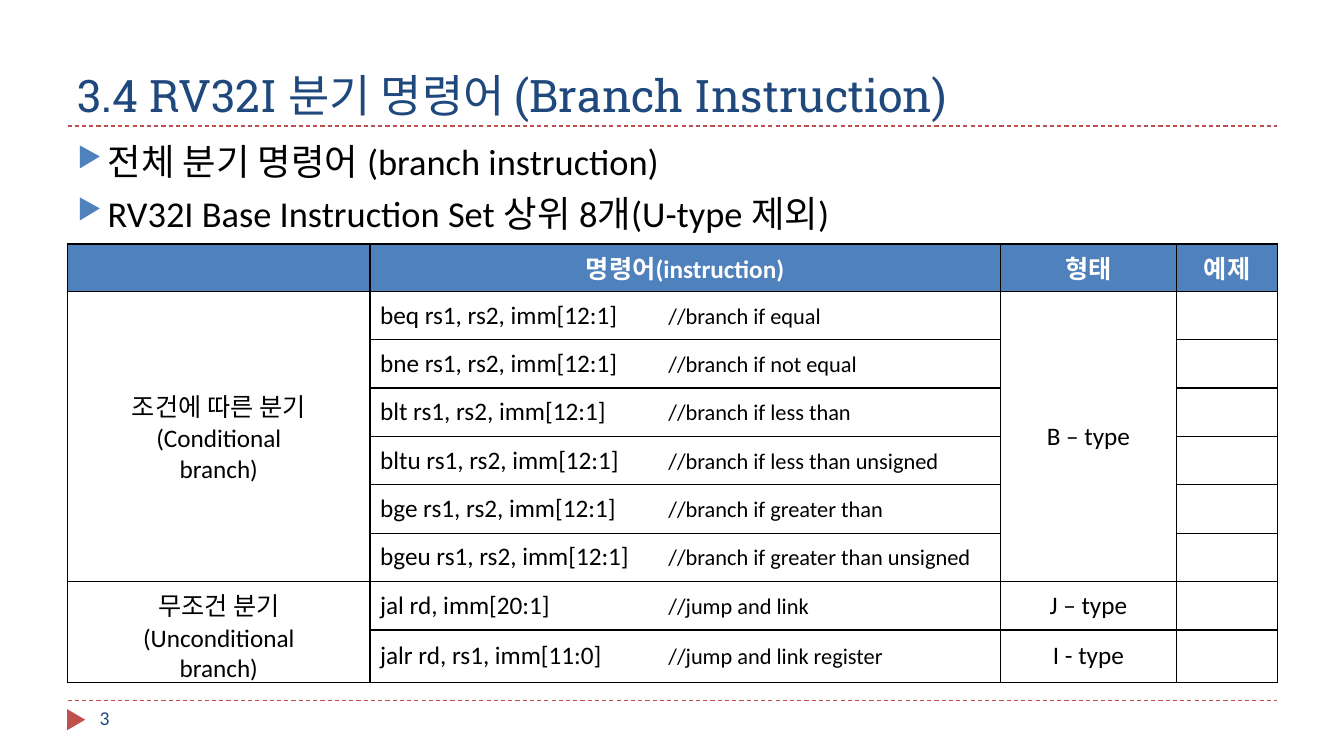
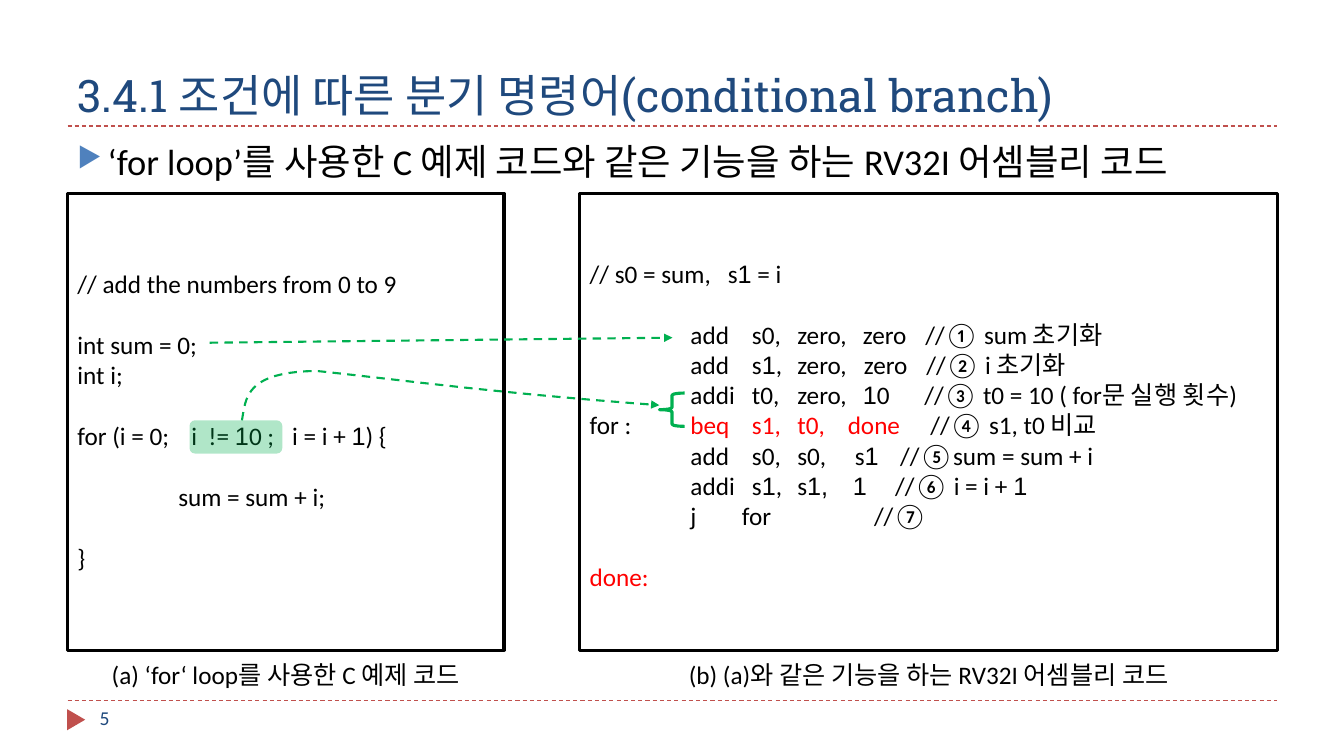
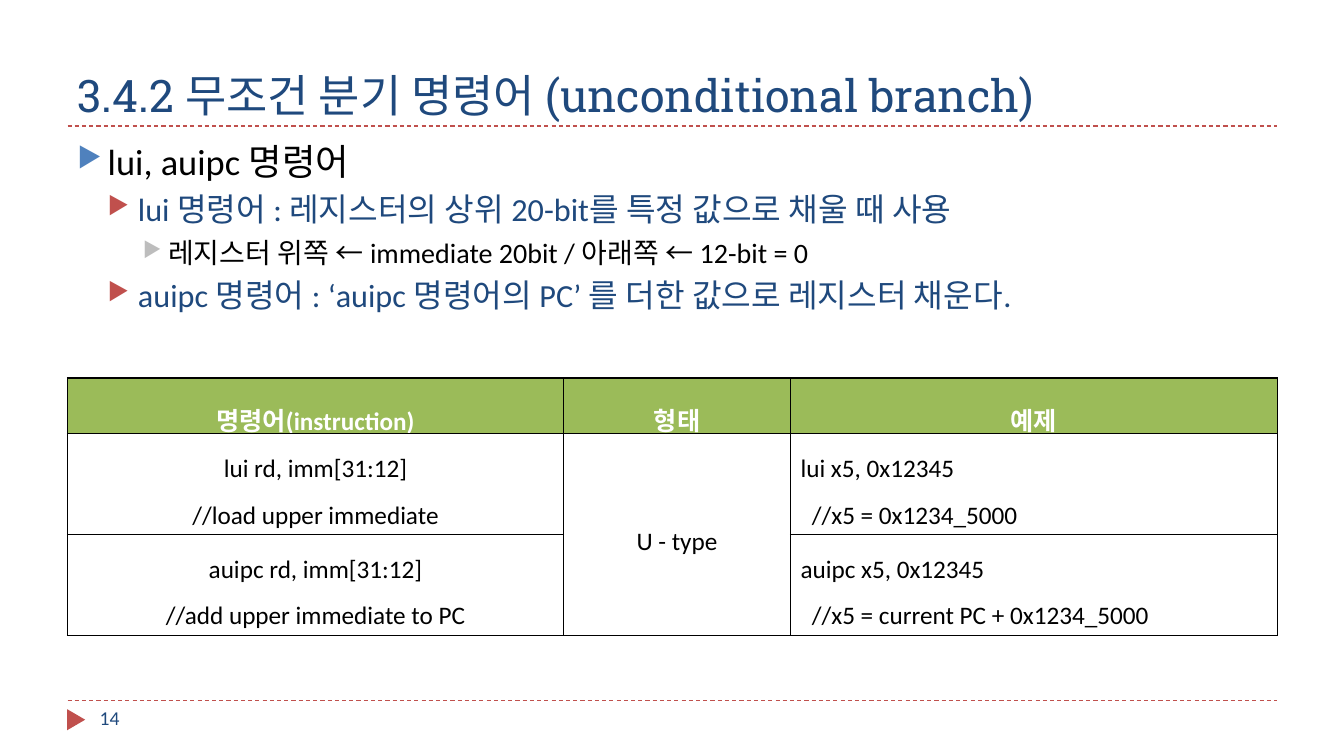
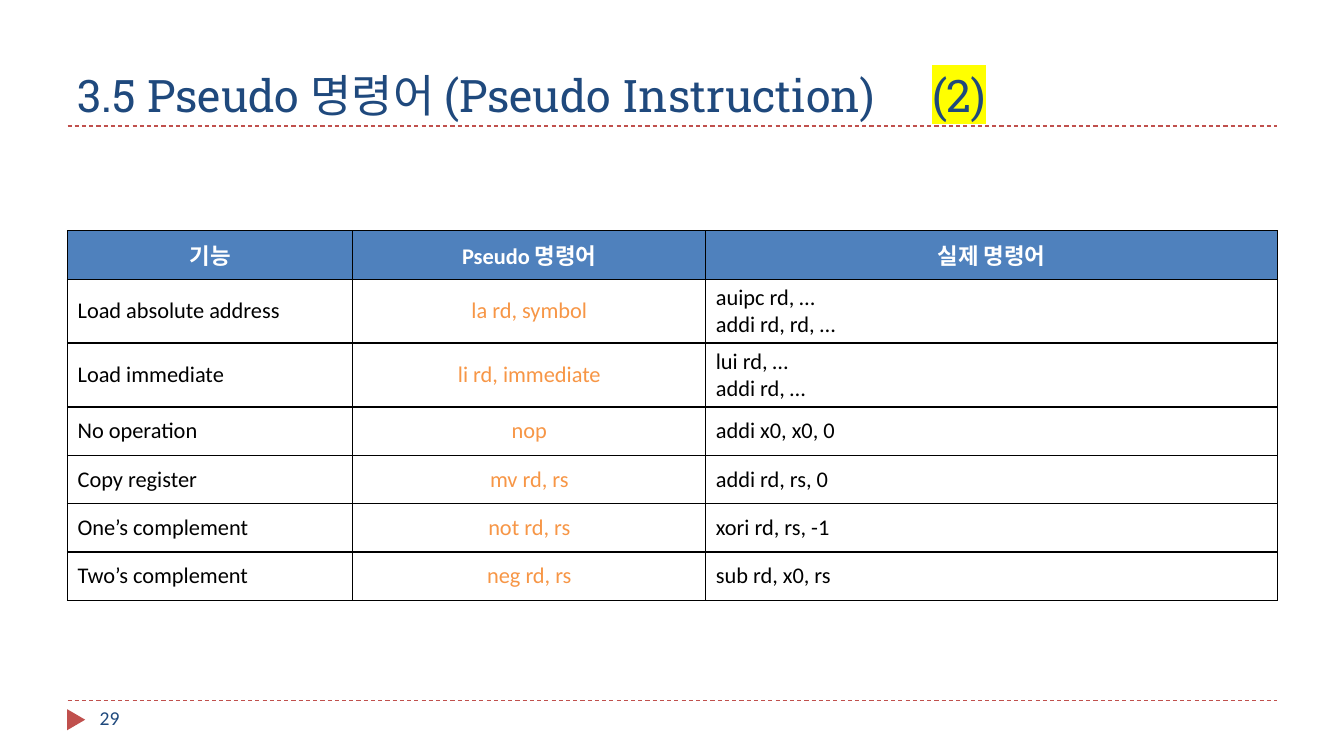
from lxml import etree
from pptx import Presentation
from pptx.dml.color import RGBColor
from pptx.enum.dml import MSO_LINE
from pptx.enum.shapes import MSO_CONNECTOR, MSO_SHAPE
from pptx.enum.text import MSO_ANCHOR, PP_ALIGN
from pptx.oxml.ns import qn
from pptx.util import Inches, Pt

TOP, MIDDLE, BOTTOM = MSO_ANCHOR.TOP, MSO_ANCHOR.MIDDLE, MSO_ANCHOR.BOTTOM
LEFT, CENTER = PP_ALIGN.LEFT, PP_ALIGN.CENTER
RECT, ROUND = MSO_SHAPE.RECTANGLE, MSO_SHAPE.ROUNDED_RECTANGLE
BRACE, WEDGE = MSO_SHAPE.LEFT_BRACE, MSO_SHAPE.ISOSCELES_TRIANGLE
STRAIGHT, DASH = MSO_CONNECTOR.STRAIGHT, MSO_LINE.DASH

BLACK, WHITE, NAVY, BLUE = "000000", "FFFFFF", "1F497D", "4F81BD"
BRICK, GRAY, RED, GREEN = "C0504D", "BDBDBD", "FF0000", "00B050"
OLIVE, ORANGE, YELLOW = "9BBB59", "F79646", "FFFF00"
BODY, SLAB, DIGIT = "Calibri", "Roboto Slab", "Arial"
SIDE, WIDE = 0.67, 12
SKIP = 22
LEVELS = [
    dict(size=26, ink=BLACK, before=6, bullet=(BLUE, 0.3, -0.3)),
    dict(size=23, ink=NAVY, before=5, bullet=(BRICK, 0.6, -0.3)),
    dict(size=20, ink=BLACK, before=5, bullet=(GRAY, 0.9, -0.25)),
]


def hue(code):
    """Turn a hex string into a colour."""
    return RGBColor.from_string(code)


def sub(parent, tag, **attrs):
    """Append an XML child with attributes."""
    return etree.SubElement(parent, qn(tag), attrs)


def style(font, size=18, ink=BLACK, face=BODY, bold=False, mark=None):
    """Format one run."""
    font.size, font.bold = Pt(size), bold
    font.color.rgb = hue(ink)
    if mark:
        sub(sub(font._element, "a:highlight"), "a:srgbClr", val=mark)
    font.name = face


def write(frame, text, align=LEFT, before=0, gap=None, stops=(), bullet=None, **look):
    """Add a paragraph; text between backticks takes the digit font."""
    par = frame.paragraphs[0]
    if par.runs:
        par = frame.add_paragraph()
        par.space_before = Pt(before)
    par.alignment = align
    if gap:
        par.line_spacing = gap
    props = par._p.get_or_add_pPr()
    if bullet:
        ink, margin, indent = bullet
        props.set("marL", str(Inches(margin)))
        props.set("indent", str(Inches(indent)))
        sub(sub(props, "a:buClr"), "a:srgbClr", val=ink)
        sub(props, "a:buSzPct", val="76000")
        sub(props, "a:buChar", char="▶")
    if stops:
        tabs = sub(props, "a:tabLst")
        for stop in stops:
            sub(tabs, "a:tab", pos=str(Inches(stop)), algn="l")
    for part, extra in [(text, {})] if isinstance(text, str) else text:
        for i, bit in enumerate(part.split("`")):
            if bit:
                run = par.add_run()
                run.text = bit
                face = {"face": DIGIT} if i % 2 else {}
                style(run.font, **{**look, **extra, **face})


def box(slide, at, anchor=TOP):
    """Add a wrapping text box and return its frame."""
    frame = slide.shapes.add_textbox(*map(Inches, at)).text_frame
    frame.word_wrap, frame.vertical_anchor = True, anchor
    return frame


def stroke(shape, ink, width, dash=False, tip=False):
    """Format an outline or line."""
    shape.line.color.rgb = hue(ink)
    shape.line.width = Pt(width)
    if dash:
        shape.line.dash_style = DASH
    if tip:
        sub(shape.element.spPr.find(qn("a:ln")), "a:tailEnd", type="triangle")


def form(slide, kind, at, fill=None, alpha=None, line=None):
    """Add a preset shape."""
    shape = slide.shapes.add_shape(kind, *map(Inches, at))
    shape.shadow.inherit = False
    if fill:
        shape.fill.solid()
        shape.fill.fore_color.rgb = hue(fill)
    else:
        shape.fill.background()
    if alpha:
        tint = shape.element.spPr.find(qn("a:solidFill"))[0]
        sub(tint, "a:alpha", val=str(alpha * 1000))
    if line:
        stroke(shape, line, 2.25)
    else:
        shape.line.fill.background()
    return shape


def rule(slide, start, end, ink, width, tip=False):
    """Add a dashed straight line."""
    line = slide.shapes.add_connector(STRAIGHT, *map(Inches, start + end))
    stroke(line, ink, width, True, tip)
    sub(line.element.spPr, "a:effectLst")


def bend(a, b, c, d, steps=20):
    """Return points along a cubic curve, after its start."""
    points = []
    for i in range(1, steps + 1):
        t = i / steps
        u = 1 - t
        points.append(tuple(
            Inches(u**3 * p + 3 * u * u * t * q + 3 * u * t * t * r + t**3 * s)
            for p, q, r, s in zip(a, b, c, d)))
    return points


def curve(slide, start, *bends):
    """Add a dashed curved arrow."""
    path = slide.shapes.build_freeform(*map(Inches, start))
    for two, three, end in bends:
        path.add_line_segments(bend(start, two, three, end), close=False)
        start = end
    shape = path.convert_to_shape()
    shape.shadow.inherit = False
    shape.fill.background()
    stroke(shape, GREEN, 1.5, True, True)


def cover(cell, fill):
    """Give a cell its borders and fill."""
    props = cell._tc.get_or_add_tcPr()
    for edge in "LRTB":
        line = sub(props, f"a:ln{edge}", w=str(Pt(1)))
        sub(sub(line, "a:solidFill"), "a:srgbClr", val=BLACK)
    cell.fill.solid()
    cell.fill.fore_color.rgb = hue(fill)


def grid(slide, top, cols, highs, rows, looks, head, spans=(), **shared):
    """Add a table with one text look per column."""
    shape = slide.shapes.add_table(
        len(rows), len(cols), *map(Inches, (SIDE, top, WIDE, sum(highs))))
    table = shape.table
    table.first_row = table.horz_banding = False
    for col, width in zip(table.columns, cols):
        col.width = Inches(width)
    for row, high in zip(table.rows, highs):
        row.height = Inches(high)
    title = dict(align=CENTER, ink=WHITE, bold=True)
    for r, row in enumerate(rows):
        for c, text in enumerate(row):
            cell = table.cell(r, c)
            cover(cell, WHITE if r else head)
            cell.vertical_anchor = MIDDLE
            look = looks[c] if r else title
            lines = text.split("\n") if isinstance(text, str) else [text]
            for line in lines:
                write(cell.text_frame, line, **shared, **look)
    for first, last, c in spans:
        table.cell(first, c).merge(table.cell(last, c))
    return table


def page(deck, title, number, points=(), stops=()):
    """Add a slide with title, rules, number and bullets."""
    slide = deck.slides.add_slide(deck.slide_layouts[6])
    for y in (6.95, 1.25):
        rule(slide, (SIDE, y), (SIDE + WIDE, y), BRICK, 0.75)
    form(slide, WEDGE, (0.65, 7.05, 0.21, 0.18), BRICK).rotation = 90
    write(box(slide, (SIDE, 0.17, WIDE, 1.08), BOTTOM), title,
          size=32, face=SLAB, ink=NAVY, stops=stops)
    write(box(slide, (0.89, 6.95, 2.89, 0.4)), number, size=14, ink=NAVY)
    if points:
        frame = box(slide, (SIDE, 1.33, WIDE, 5.4))
        for level, text in points:
            write(frame, text, **LEVELS[level])
    return slide


def branch(deck):
    """Build the slide of all branch instructions."""
    slide = page(deck, "3.4 RV32I 분기 명령어 (Branch Instruction)", "3", [
        (0, "전체 분기 명령어 (branch instruction)"),
        (0, "RV32I Base Instruction Set 상위 8개(U-type 제외)")])
    codes = [
        ("조건에 따른 분기\n(Conditional\nbranch)", "beq rs1, rs2, imm[12:1]", "branch if equal", "B – type"),
        ("", "bne rs1, rs2, imm[12:1]", "branch if not equal", ""),
        ("", "blt rs1, rs2, imm[12:1]", "branch if less than", ""),
        ("", "bltu rs1, rs2, imm[12:1]", "branch if less than unsigned", ""),
        ("", "bge rs1, rs2, imm[12:1]", "branch if greater than", ""),
        ("", "bgeu rs1, rs2, imm[12:1]", "branch if greater than unsigned", ""),
        ("무조건 분기\n(Unconditional\nbranch)", "jal rd, imm[20:1]", "jump and link", "J – type"),
        ("", "jalr rd, rs1, imm[11:0]", "jump and link register", "I - type"),
    ]
    rows = [("", "명령어(instruction)", "형태", "예제")]
    for group, code, note, kind in codes:
        pair = [(code + "\t", {}), ("//" + note, {"size": 16})]
        rows.append((group, pair, kind, ""))
    mid = dict(align=CENTER)
    table = grid(slide, 2.42, (3, 6.25, 1.75, 1), [0.47] + [0.48] * 7 + [0.5],
                 rows, (mid, dict(stops=(2.86,)), mid, mid), BLUE,
                 [(1, 6, 0), (1, 6, 2), (7, 8, 0)])
    table.cell(7, 0).vertical_anchor = TOP


def loop(deck):
    """Build the slide that compares C and assembly."""
    slide = page(deck, "3.4.1 조건에 따른 분기 명령어(conditional branch)", "5", [
        (0, "‘for loop’를 사용한 C 예제 코드와 같은 기능을 하는 RV32I 어셈블리 코드")])
    panes = [(SIDE, 4.33, "(a) ‘for‘ loop를 사용한 C 예제 코드"),
             (5.75, 6.92, "(b) (a)와 같은 기능을 하는 RV32I 어셈블리 코드")]
    for x, width, label in panes:
        form(slide, RECT, (x, 1.92, width, 4.53), line=BLACK)
        write(box(slide, (x, 6.49, width, 0.4)), label, align=CENTER)

    source = box(slide, (SIDE, 2.61, 5.5, 3.13))
    for before, stops, text in [
        (0, (), "// add the numbers from 0 to 9"),
        (SKIP, (), "int sum = 0;"),
        (0, (), "int i;"),
        (SKIP, (1.13, 2.13), "for (i = 0;\ti  != `1`0 ;\ti = i + `1`) {"),
        (SKIP, (1,), "\tsum = sum + i;"),
        (SKIP, (), "}"),
    ]:
        write(source, text, before=before, stops=stops)

    target = box(slide, (5.75, 2.5, 6.92, 3.43), MIDDLE)
    base = (1, 1.61, 2.06)
    test = [("for :\t", {}), ("beq\ts1,\tt0,\tdone\t", {"ink": RED}),
            ("//④ s1, t0 비교", {})]
    for before, stops, text in [
        (0, (1.37,), "// s0 = sum,\ts`1` = i"),
        (SKIP, base + (2.71, 3.33), "\tadd\ts0,\tzero,\tzero\t//① sum 초기화"),
        (0, base + (2.72, 3.34), "\tadd\ts`1`,\tzero,\tzero\t//② i 초기화"),
        (0, base + (2.71, 3.32), "\taddi\tt0,\tzero,\t`1`0\t//③ t0 = 10 ( for문 실행 횟수)"),
        (0, base + (2.56, 3.38), test),
        (0, base + (2.63, 3.08), "\tadd\ts0,\ts0,\ts`1`\t//⑤sum = sum + i"),
        (0, base + (2.61, 3.03), "\taddi\ts`1`,\ts`1,`\t`1`\t//⑥ i = i + `1`"),
        (0, (1, 1.51, 2.82), "\tj\tfor\t//⑦"),
        (SKIP, (), [("done:", {"ink": RED})]),
    ]:
        write(target, text, before=before, stops=stops)

    form(slide, ROUND, (1.88, 4.17, 0.92, 0.33), GREEN, 31)
    form(slide, BRACE, (6.54, 3.9, 0.25, 0.33), line=GREEN)
    curve(slide, (2.4, 4.17),
          ((2.44, 3.95), (2.43, 3.69), (3.14, 3.68)),
          ((3.99, 3.77), (4.92, 3.9), (6.54, 4.02)))
    rule(slide, (2.08, 3.4), (6.67, 3.35), GREEN, 1.5, True)


def upper(deck):
    """Build the slide of upper immediate instructions."""
    slide = page(deck, "3.4.2 무조건 분기 명령어 (unconditional branch)", "14", [
        (0, "lui, auipc 명령어"),
        (1, "lui 명령어 : 레지스터의 상위 20-bit를 특정 값으로 채울 때 사용"),
        (2, "레지스터 위쪽 ← immediate 20bit / 아래쪽 ← 12-bit = 0"),
        (1, "auipc 명령어 : ‘auipc 명령어의 PC’ 를 더한 값으로 레지스터 채운다.")])
    rows = [
        ("명령어(instruction)", "형태", "예제"),
        ("lui rd, imm[31:12]\n//load upper immediate", "U - type",
         "lui x5, 0x12345\n  //x5 = 0x1234_5000"),
        ("auipc rd, imm[31:12]\n//add upper immediate to PC", "",
         "auipc x5, 0x12345\n  //x5 = current PC + 0x1234_5000"),
    ]
    mid = dict(align=CENTER)
    grid(slide, 3.75, (4.92, 2.25, 4.83), [0.41] * 3, rows, (mid, mid, {}),
         OLIVE, [(1, 2, 1)], gap=1.5)


def pseudo(deck):
    """Build the slide of pseudo instructions."""
    title = [("3.5 Pseudo 명령어 (Pseudo Instruction)\t", {}), ("(2)", {"mark": YELLOW})]
    slide = page(deck, title, "29", stops=(8.48,))
    rows = [
        ("기능", "Pseudo 명령어", "실제 명령어"),
        ("Load absolute address", "la rd, symbol", "auipc rd, …\naddi rd, rd, …"),
        ("Load immediate", "li rd, immediate", "lui rd, …\naddi rd, …"),
        ("No operation", "nop", "addi x0, x0, 0"),
        ("Copy register", "mv rd, rs", "addi rd, rs, 0"),
        ("One’s complement", "not rd, rs", "xori rd, rs, -1"),
        ("Two’s complement", "neg rd, rs", "sub rd, x0, rs"),
    ]
    grid(slide, 2.29, (2.83, 3.5, 5.67), [0.48] * 7, rows,
         ({}, dict(align=CENTER, ink=ORANGE), {}), BLUE, size=16)


def main():
    """Build and save the deck."""
    deck = Presentation()
    deck.slide_width, deck.slide_height = Inches(13.33), Inches(7.5)
    for build in (branch, loop, upper, pseudo):
        build(deck)
    deck.save("out.pptx")


if __name__ == "__main__":
    main()
